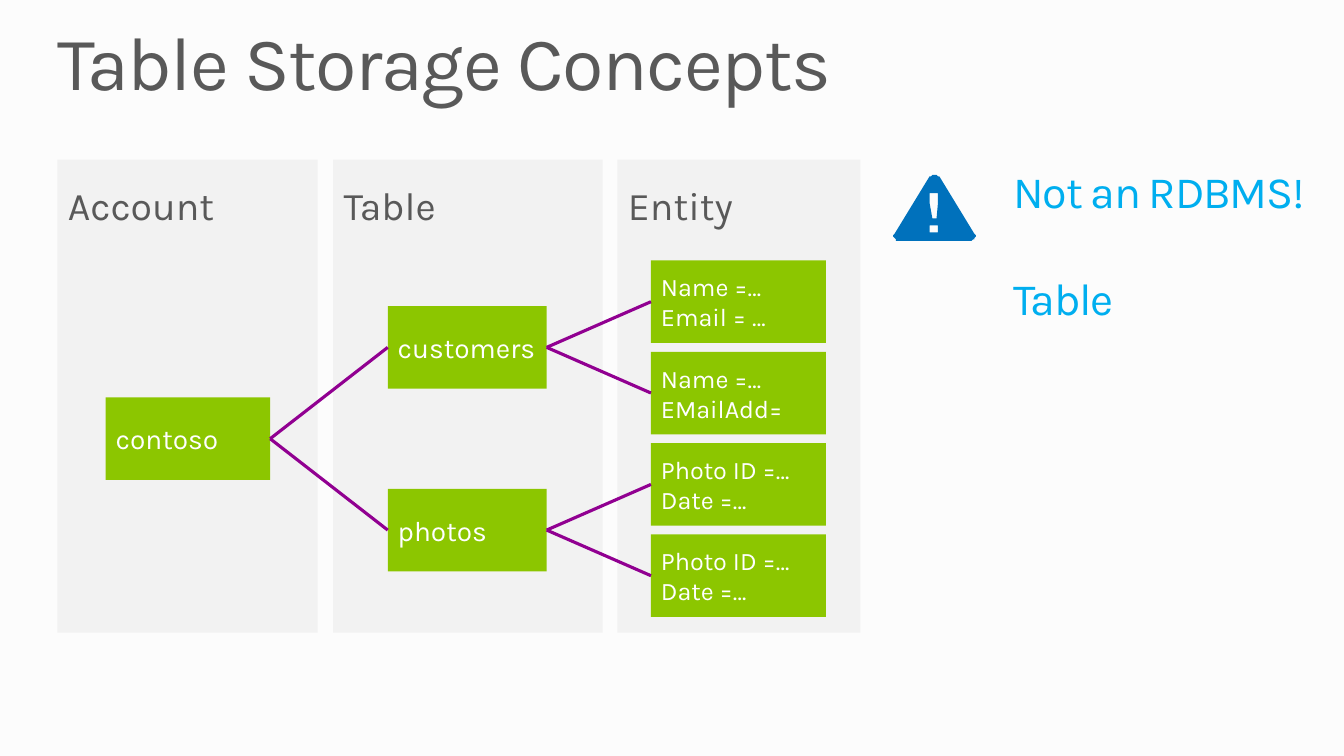
import math
from lxml import etree
from pptx import Presentation
from pptx.dml import color
from pptx.enum import shapes, text
from pptx.util import Pt


def paint(fill, hex_color):
    fill.solid()
    fill.fore_color.rgb = color.RGBColor.from_string(hex_color)


def write(shape, lines, size, hex_color, tracking=0, frame_format=None, **paragraph_format):
    frame = shape.text_frame
    frame.word_wrap = True
    for name, value in (frame_format or {}).items():
        setattr(frame, name, value)
    frame.text = "\n".join(lines)
    for paragraph in frame.paragraphs:
        paragraph.alignment = text.PP_ALIGN.LEFT
        for name, value in paragraph_format.items():
            setattr(paragraph, name, value)
        run = paragraph.runs[0]
        run.font.name = "Karla"
        run.font.size = Pt(size)
        paint(run.font.fill, hex_color)
        if tracking:
            run.font._element.set("spc", str(tracking))


deck = Presentation()
deck.slide_width, deck.slide_height = Pt(960), Pt(540)
slide = deck.slides.add_slide(deck.slide_layouts[6])
paint(slide.background.fill, "FCFCFC")
canvas = slide.shapes
flush = dict(margin_left=0, margin_top=0, margin_right=0, margin_bottom=0)

title = canvas.add_textbox(Pt(41), Pt(18), Pt(878), Pt(59))
write(title, ["Table Storage Concepts"], 54, "595959", -100, flush, line_spacing=0.9)

heading_format = dict(vertical_anchor=text.MSO_ANCHOR.TOP, margin_left=Pt(7.5),
                      margin_top=Pt(19.5), margin_right=Pt(19.5))
for heading, left, width in [("Account", 41, 186), ("Table", 238, 192.5), ("Entity", 441, 173.5)]:
    column = canvas.add_shape(shapes.MSO_SHAPE.RECTANGLE, Pt(left), Pt(114), Pt(width), Pt(338))
    column.shadow.inherit = False
    paint(column.fill, "F2F2F2")
    column.line.fill.background()
    write(column, [heading], 28, "595959", 0, heading_format, line_spacing=0.9)

entity_top, row_step, box_height = 186, 65.25, 59
levels = [
    (75.5, 117.5, 20, [["contoso"]]),
    (277, 113.5, 20, [["customers"], ["photos"]]),
    (465, 125, 18, [["Name =…", "Email = …"], ["Name =…", "EMailAdd="],
                    ["Photo ID =…", "Date =…"], ["Photo ID =…", "Date =…"]]),
]
parents = []
for left, width, size, labels in levels:
    rows_per_box = 4 / len(labels)
    boxes = []
    for index, lines in enumerate(labels):
        row = (index + 0.5) * rows_per_box - 0.5
        box = canvas.add_shape(shapes.MSO_SHAPE.RECTANGLE, Pt(left),
                               Pt(entity_top + row * row_step), Pt(width), Pt(box_height))
        box.shadow.inherit = False
        paint(box.fill, "8CC600")
        box.line.fill.background()
        write(box, lines, size, "FFFFFF", 0, dict(vertical_anchor=text.MSO_ANCHOR.MIDDLE))
        boxes.append(box)
        if parents:
            branch = canvas.add_connector(shapes.MSO_CONNECTOR.STRAIGHT, 0, 0, 0, 0)
            branch.begin_connect(parents[index // 2], 3)
            branch.end_connect(box, 1)
            branch.line.width = Pt(2.25)
            paint(branch.line.fill, "910091")
            etree.SubElement(branch._element.spPr,
                             "{http://schemas.openxmlformats.org/drawingml/2006/main}effectLst")
    parents = boxes

warning = canvas.add_textbox(Pt(724), Pt(117), Pt(215), Pt(113))
write(warning, ["Not an RDBMS!", "Table"], 32, "00AEEF", -100, flush)
warning.text_frame.paragraphs[1].space_before = Pt(38)

corner_radius = 3.6
triangle = []
for x, y, first_angle in [(667.5, 128.2, -148), (693, 168.5, -32), (642, 168.5, 90)]:
    for step in range(9):
        angle = math.radians(first_angle + step * 14.6)
        triangle.append((x + corner_radius * math.cos(angle), y + corner_radius * math.sin(angle)))
dot = [(664, 160.6), (670.5, 160.6), (670.5, 166.3), (664, 166.3)]
stroke = [(664, 138.2), (670.5, 138.2), (670.5, 145.4), (669, 156.2), (665.5, 156.2), (664, 145.4)]
sign = canvas.build_freeform(*triangle[0], scale=Pt(1))
sign.add_line_segments(triangle[1:])
for mark in (dot, stroke):
    sign.move_to(*mark[0])
    sign.add_line_segments(mark[1:])
alert = sign.convert_to_shape()
alert.shadow.inherit = False
paint(alert.fill, "0071BC")
alert.line.fill.background()

deck.save("out.pptx")
